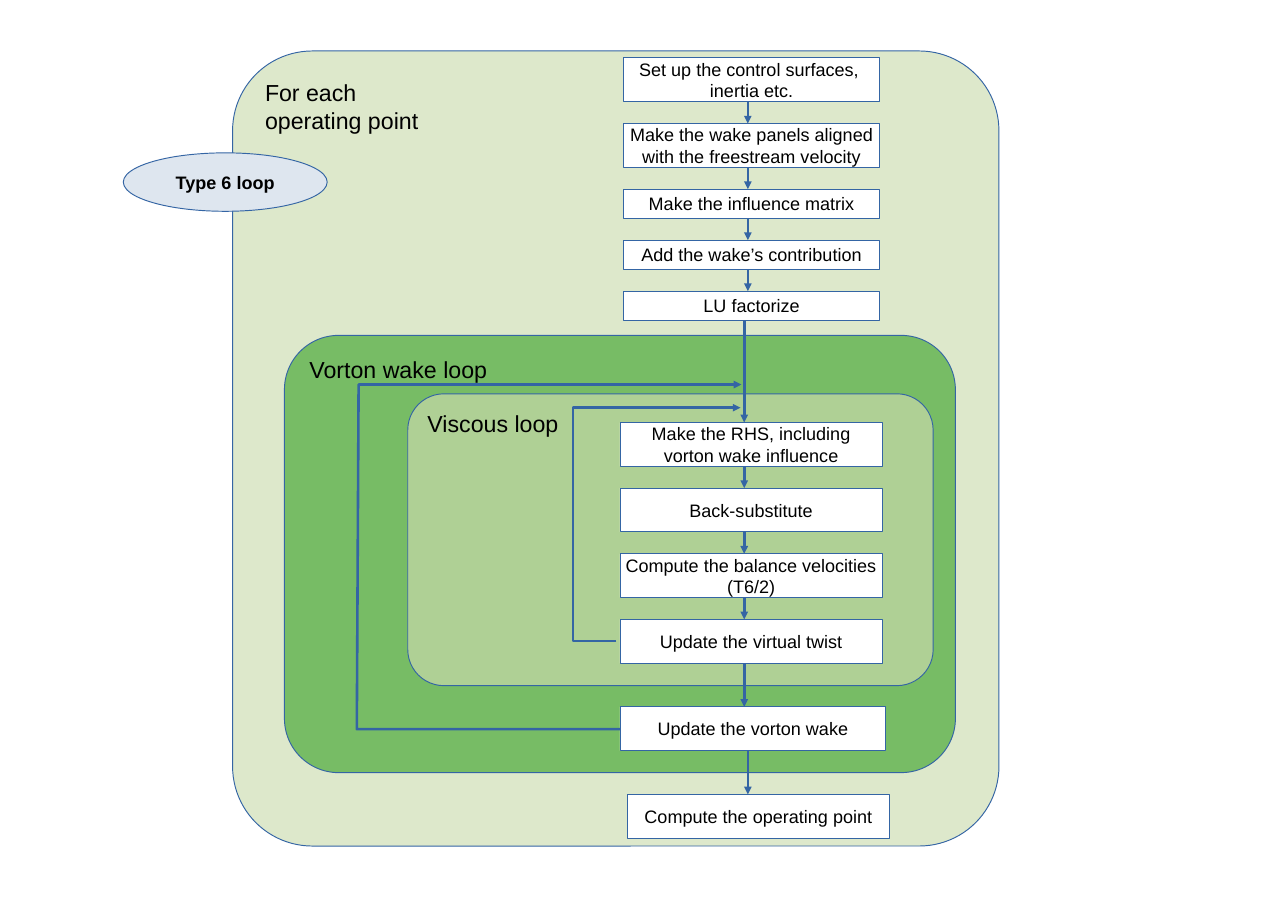
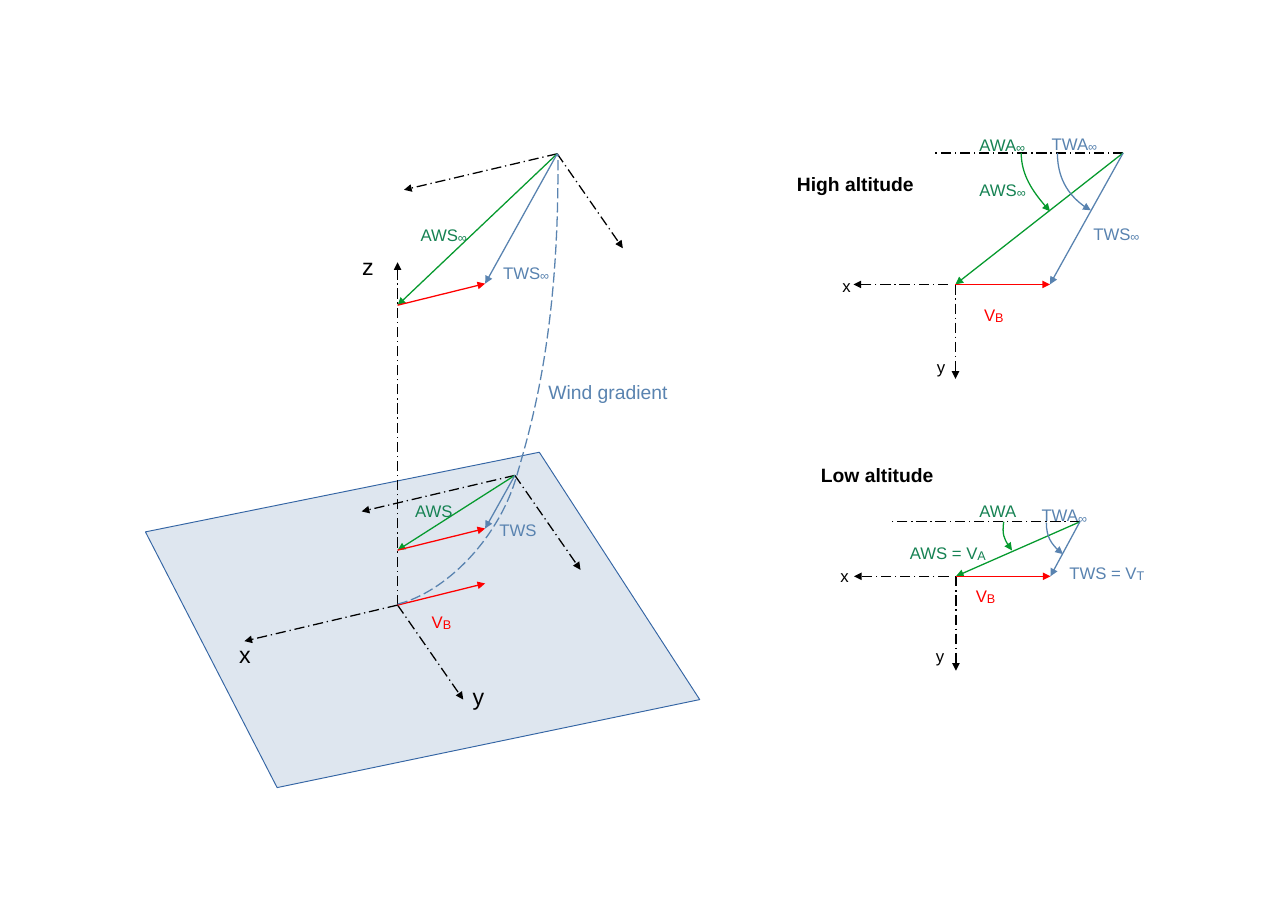
from dataclasses import dataclass

import pptx
import pptx.dml.color
import pptx.enum.dml
import pptx.enum.shapes
import pptx.enum.text
import pptx.oxml.ns
import pptx.util
from lxml import etree

Pt = pptx.util.Pt
qn = pptx.oxml.ns.qn
KIND = pptx.enum.shapes.MSO_SHAPE
DASH = pptx.enum.dml.MSO_LINE
ALIGN = pptx.enum.text.PP_ALIGN
ANCHOR = pptx.enum.text.MSO_ANCHOR


@dataclass(frozen=True)
class Theme:
    font: str = "Arial"
    black: str = "000000"
    white: str = "FFFFFF"
    edge: str = "3465A4"
    pale: str = "DEE6EF"
    outer: str = "DDE8CB"
    middle: str = "77BC65"
    inner: str = "AFD095"
    green: str = "069A2E"
    leaf: str = "168253"
    blue: str = "5983B0"
    red: str = "FF0000"
    big: float = 18
    head: float = 15
    body: float = 14
    small: float = 13
    sub: float = 16.8
    hair: float = 0
    thin: float = 1
    thick: float = 2


T = Theme()

# Page: B4 landscape
WIDE, HIGH = 1000.63, 708.66

# Flow chart: loop frames as text, left, top, width, height, corner, fill
FRAMES = [
    ("For each \noperating point", 180.7, 39.6, 595.4, 617.8, 0.104, T.outer),
    ("Vorton wake loop", 221, 260.6, 521.3, 339.8, 0.124, T.middle),
    ("Viscous loop", 316.8, 306, 408.2, 226.8, 0.124, T.inner),
]
# Flow chart: columns as left, width; steps as text, column, height, gap below, arrow x
SETUP, SOLVE, WAKE, LAST = (484.6, 198.7), (481.7, 203.8), (481.7, 206.6), (487.4, 203.8)
TOP, GAP, TALL, LOW = 45, 17, 34, 22.6
EAST, WEST = 581, 578.2
STEPS = [
    ("Set up the control surfaces, \ninertia etc.", SETUP, TALL, GAP, EAST),
    ("Make the wake panels aligned\nwith the freestream velocity", SETUP, TALL, GAP, EAST),
    ("Make the influence matrix", SETUP, LOW, GAP, EAST),
    ("Add the wake’s contribution", SETUP, LOW, GAP, EAST),
    ("LU factorize", SETUP, LOW, 79.5, WEST),
    ("Make the RHS, including\nvorton wake influence", SOLVE, TALL, GAP, WEST),
    ("Back-substitute", SOLVE, TALL, GAP, WEST),
    ("Compute the balance velocities\n(T6/2)", SOLVE, TALL, GAP, WEST),
    ("Update the virtual twist", SOLVE, TALL, 2 * GAP, WEST),
    ("Update the vorton wake", WAKE, TALL, 2 * GAP, EAST),
    ("Compute the operating point", LAST, TALL, 0, None),
]
LOOPS = [
    [(478.8, 498.2), (445, 498.2), (445, 316.8), (575.3, 316.8)],
    [(481.7, 566.6), (277.2, 566.6), (278.6, 298.8), (576, 298.8)],
]
BADGE = ("Type 6 loop", 95.8, 118.8, 158.4, 45.4)

# Wind view in space
PLANE = [(113, 413.3), (215.3, 612), (543.6, 543.6), (419, 351.4)]
ORIGIN, MAST = (308.9, 470.2), (308.9, 203.8)
AXES = [(-119, 28), (51, 73.4)]
BOAT = (68, -16.8)
WIND = [(308.9, 469.4), (344.9, 460.8), (387.4, 419.8), (401.8, 368.6),
        (411.8, 333.4), (434.9, 259.9), (433.4, 119.5)]
# Wind triangles as tip, base
SPACE = [((432.9, 119.5), (308.9, 237.2)), ((400, 369.4), (308.9, 427.5))]
FLAT = [((872.6, 118.8), (742.3, 221)), ((838.9, 405.5), (742.7, 447.8))]
REACH, INSET, SPAN = 73.4, 5.8, 147.6
# Angle arcs as colour, control points
ARCS = [
    (T.green, [(793.4, 118.8), (793.4, 136.1), (805, 152.6), (815.8, 164.2)]),
    (T.blue, [(821.5, 118.8), (821.5, 141.1), (835.9, 157.7), (847.4, 163.4)]),
    (T.green, [(779.8, 405.4), (778.3, 415.4), (781.9, 422.6), (786.2, 427.7)]),
    (T.blue, [(812.9, 406.1), (812.9, 417.6), (820.1, 427), (825.8, 430.6)]),
]
# Labels by size and colour: text, subscript, left, top, width
LABELS = [
    (T.big, T.black, [("x", "", 178.6, 493.9, 39.6), ("y", "", 360, 527, 39.6),
                      ("z", "", 274.3, 192.2, 39.6)]),
    (T.head, T.black, [("High altitude", "", 612, 130.3, 113),
                       ("Low altitude", "", 630.7, 356.4, 113)]),
    (T.head, T.blue, [("Wind gradient", "", 419, 291.6, 113)]),
    (T.small, T.black, [("x", "", 647.3, 211, 22.3), ("y", "", 720.7, 273.6, 22.3),
                        ("x", "", 645.8, 436.3, 22.3), ("y", "", 720, 498.2, 22.3)]),
    (T.small, T.red, [("V", "B", 757.4, 229.7, 35.3), ("V", "B", 751, 447.8, 35.3),
                      ("V", "B", 328.3, 468, 35.3)]),
    (T.small, T.leaf, [("AWA", "∞", 753.8, 97.2, 51.8), ("AWS", "∞", 753.8, 132.5, 51.8),
                       ("AWS", "∞", 319.7, 167, 51.8), ("AWS", "", 315.4, 385.2, 51.8),
                       ("AWA", "", 753.8, 385.2, 44.6), ("AWS = V", "A", 699.8, 414.7, 77)]),
    (T.small, T.blue, [("TWA", "∞", 810, 96.5, 54), ("TWS", "∞", 842.4, 166.3, 54.7),
                       ("TWS", "∞", 383.8, 196.6, 54.7), ("TWS", "", 380.9, 400.3, 51.1),
                       ("TWA", "∞", 802.1, 385.2, 54), ("TWS = V", "T", 823.7, 429.8, 76.3)]),
]


def tint(code):
    return pptx.dml.color.RGBColor.from_string(code)


def write(shape, text, size=T.body, color=T.black, bold=False, sub="",
          align=ALIGN.CENTER, anchor=ANCHOR.MIDDLE, wrap=False):
    frame = shape.text_frame
    frame.word_wrap = wrap
    frame.vertical_anchor = anchor
    par = frame.paragraphs[0]
    par.alignment = align

    def add(part, high):
        run = par.add_run()
        run.text = part
        run.font.name, run.font.size, run.font.bold = T.font, Pt(high), bold
        run.font.color.rgb = tint(color)
        return run

    for i, row in enumerate(text.split("\n")):
        if i:
            par.add_line_break()
            etree.SubElement(par._p[-1], qn("a:rPr"), sz=str(size * 100))
        add(row, size)
    if sub:
        add(sub, T.sub).font._element.set("baseline", "-5000")


def draw(shape, color, width, dash=None, arrow=False):
    """Style the outline of a shape or connector."""
    shape.line.color.rgb = tint(color)
    shape.line.width = Pt(width)
    if dash:
        shape.line.dash_style = dash
    if arrow:
        rim = shape.element.spPr.find(qn("a:ln"))
        etree.SubElement(rim, qn("a:tailEnd"), type="triangle")


def block(slide, kind, box, fill):
    shape = slide.shapes.add_shape(kind, *map(Pt, box))
    shape.shadow.inherit = False
    shape.fill.solid()
    shape.fill.fore_color.rgb = tint(fill)
    draw(shape, T.edge, T.hair)
    return shape


def line(slide, start, end, color, width=T.thin, dash=None, arrow=True):
    link = slide.shapes.add_connector(
        pptx.enum.shapes.MSO_CONNECTOR.STRAIGHT, *map(Pt, (*start, *end)))
    draw(link, color, width, dash, arrow)
    etree.SubElement(link.element.spPr, qn("a:effectLst"))


def trace(slide, points, color, width, fill=None, curved=False, **style):
    """Outline through points; a curved one reads them as cubic controls."""
    dots = [(Pt(x), Pt(y)) for x, y in points]
    pen = slide.shapes.build_freeform(*dots[0])
    pen.add_line_segments(dots[1:], close=bool(fill))
    shape = pen.convert_to_shape()
    shape.shadow.inherit = False
    if fill:
        shape.fill.solid()
        shape.fill.fore_color.rgb = tint(fill)
    else:
        shape.fill.background()
    draw(shape, color, width, **style)
    if curved:
        parts = list(shape.element.iter(qn("a:lnTo")))
        for trio in zip(*[iter(parts)] * 3):
            bend = etree.Element(qn("a:cubicBezTo"))
            trio[0].addprevious(bend)
            for part in trio:
                bend.append(part[0])
                part.getparent().remove(part)


def shift(spot, move):
    return spot[0] + move[0], spot[1] + move[1]


def axis(slide, start, end, arrow=True):
    line(slide, start, end, T.black, dash=DASH.LONG_DASH_DOT, arrow=arrow)


def wind(slide, tip, base, boat):
    """Apparent wind, true wind and boat speed."""
    line(slide, tip, base, T.green)
    line(slide, tip, shift(base, boat), T.blue)
    line(slide, base, shift(base, boat), T.red)


def flow(slide):
    # Nested loops
    for text, *box, bend, fill in FRAMES:
        shape = block(slide, KIND.ROUNDED_RECTANGLE, box, fill)
        shape.adjustments[0] = bend
        write(shape, text, size=T.big, align=ALIGN.LEFT, anchor=ANCHOR.TOP)
    # Steps and the arrows below them
    top = TOP
    for text, (left, width), high, gap, mid in STEPS:
        write(block(slide, KIND.RECTANGLE, (left, top, width, high), T.white), text)
        top += high
        if gap:
            line(slide, (mid, top), (mid, top + gap), T.edge, T.thick)
        top += gap
    # Return paths and badge
    for points in LOOPS:
        trace(slide, points, T.edge, T.thick, arrow=True)
    text, *box = BADGE
    write(block(slide, KIND.OVAL, box, T.pale), text, bold=True)


def winds(slide):
    # View in space
    trace(slide, PLANE, T.edge, T.hair, fill=T.pale)
    axis(slide, ORIGIN, MAST)
    for spot in (ORIGIN, *(tip for tip, base in SPACE)):
        for move in AXES:
            axis(slide, spot, shift(spot, move))
    line(slide, ORIGIN, shift(ORIGIN, BOAT), T.red)
    for tip, base in SPACE:
        wind(slide, tip, base, BOAT)
    trace(slide, WIND, T.blue, T.thin, curved=True, dash=DASH.LONG_DASH)
    # Plan views
    for tip, base in FLAT:
        axis(slide, shift(base, (-INSET, 0)), shift(base, (-INSET - REACH, 0)))
        axis(slide, base, shift(base, (0, REACH)))
        axis(slide, tip, shift(tip, (-SPAN, 0)), arrow=False)
        wind(slide, tip, base, (REACH, 0))
    for color, points in ARCS:
        trace(slide, points, color, T.thin, curved=True, arrow=True)
    # Labels
    for size, color, items in LABELS:
        for text, sub, left, top, width in items:
            box = slide.shapes.add_textbox(*map(Pt, (left, top, width, 24)))
            write(box, text, size=size, color=color, sub=sub, align=ALIGN.LEFT,
                  anchor=ANCHOR.TOP, wrap=True,
                  bold=size == T.head and color == T.black)


def main():
    deck = pptx.Presentation()
    deck.slide_width = Pt(WIDE)
    deck.slide_height = Pt(HIGH)
    for build in (flow, winds):
        build(deck.slides.add_slide(deck.slide_layouts[6]))
    deck.save("out.pptx")


if __name__ == "__main__":
    main()
